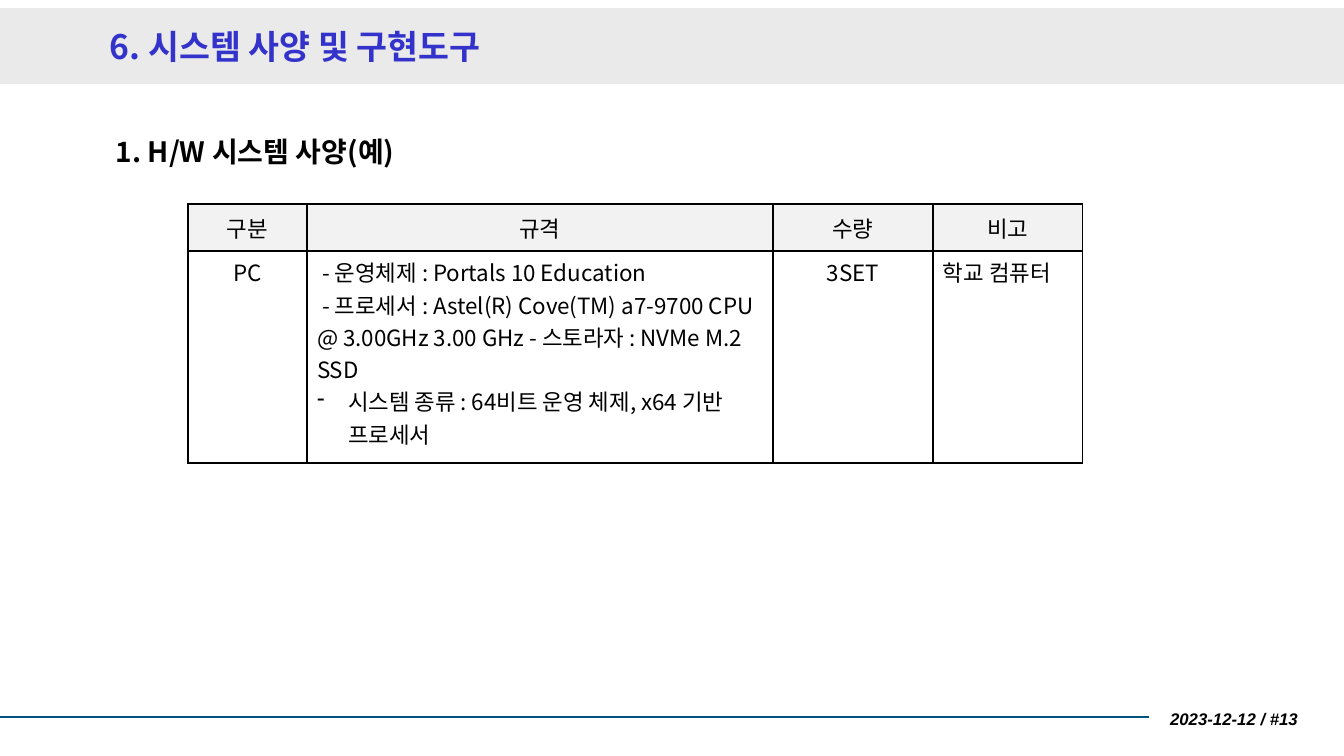
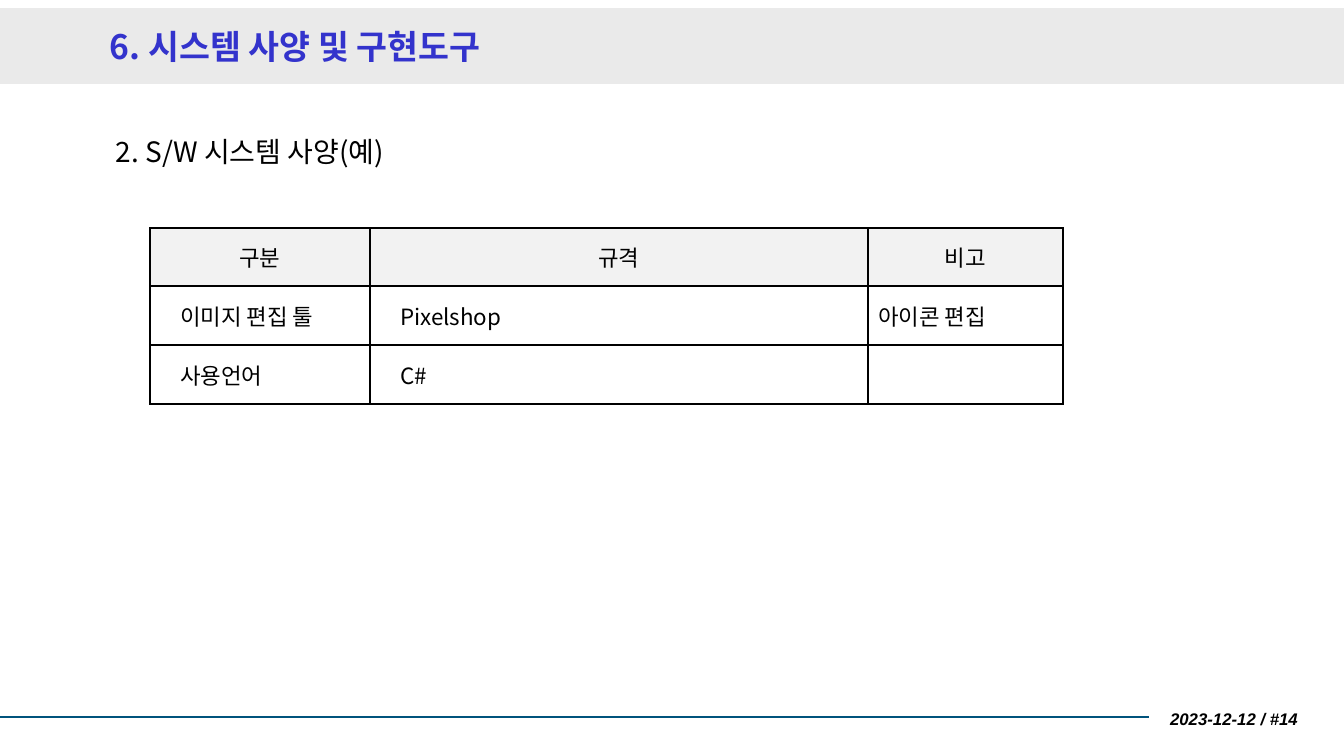
"""Build two slides of hardware and software specifications."""
from lxml.etree import SubElement
from pptx import Presentation
from pptx.dml.color import RGBColor
from pptx.enum.shapes import MSO_CONNECTOR, MSO_SHAPE
from pptx.enum.text import MSO_ANCHOR, PP_ALIGN
from pptx.oxml.ns import qn
from pptx.util import Pt

SCALE = 914400 / 100.8
SLIDE_SIZE = (1344, 756)
KOREAN = "Noto Sans CJK KR"
BLACK = "000000"
BAND, HEADER_FILL, RULE, TITLE_COLOR = "EAEAEA", "F2F2F2", "00537C", "3333CC"

TITLE = "6. 시스템 사양 및 구현도구"
DATE = "2023-12-12"
TITLE_FONT = {"name": KOREAN, "size": Pt(24), "bold": True}
FOOTER_FONT = {"name": "Arial", "size": Pt(12), "bold": True, "italic": True}
CELL_FONT = {"name": KOREAN, "size": Pt(16), "bold": False}

PLAIN = {}
CENTER = {"alignment": PP_ALIGN.CENTER}
DASH = {"indent": 5}
BULLET = {"margin": 31, "indent": -31, "bullet": "-"}
INSET = {"margin": 20}

SLIDES = [
    {
        "number": 13,
        "heading": "1. H/W 시스템 사양(예)",
        "bold": True,
        "corner": (188, 204),
        "columns": (119, 466, 160, 150),
        "rows": (47, 212),
        "anchor": MSO_ANCHOR.TOP,
        "header": ["구분", "규격", "수량", "비고"],
        "body": [[
            [("PC", CENTER)],
            [
                ("- 운영체제 : Portals 10 Education", DASH),
                ("- 프로세서 : Astel(R) Cove(TM) a7-9700 CPU @ 3.00GHz "
                 "3.00 GHz - 스토라자 : NVMe M.2 SSD", DASH),
                ("시스템 종류 : 64비트 운영 체제, x64 기반 프로세서", BULLET),
            ],
            [("3SET", CENTER)],
            [("학교 컴퓨터", PLAIN)],
        ]],
    },
    {
        "number": 14,
        "heading": "2. S/W 시스템 사양(예)",
        "bold": False,
        "corner": (150, 228),
        "columns": (220, 498, 195),
        "rows": (58, 59, 59),
        "anchor": MSO_ANCHOR.MIDDLE,
        "header": ["구분", "규격", "비고"],
        "body": [
            [[("이미지 편집 툴", INSET)], [("Pixelshop", INSET)], [("아이콘 편집", PLAIN)]],
            [[("사용언어", INSET)], [("C#", INSET)], []],
        ],
    },
]


def px(*lengths):
    """Turn pixel lengths into EMU."""
    return [round(length * SCALE) for length in lengths]


def rgb(value):
    """Turn a hex string into a colour."""
    return RGBColor.from_string(value)


def write(paragraph, text, font, color=BLACK, alignment=PP_ALIGN.LEFT, margin=0, indent=0, bullet=None):
    """Write one formatted run with its paragraph layout."""
    paragraph.alignment = alignment
    properties = paragraph._p.get_or_add_pPr()
    for name, length in {"marL": margin, "indent": indent}.items():
        properties.set(name, str(px(length)[0]))
    if bullet:
        SubElement(properties, qn("a:buChar"), char=bullet)
    run = paragraph.add_run()
    run.text = text
    for name, value in font.items():
        setattr(run.font, name, value)
    run.font.color.rgb = rgb(color)
    SubElement(run._r.get_or_add_rPr(), qn("a:ea"), typeface=font["name"])


def add_text(slide, box, text, font, anchor=MSO_ANCHOR.MIDDLE, **layout):
    """Add a one-line text box."""
    frame = slide.shapes.add_textbox(*px(*box)).text_frame
    frame.word_wrap = True
    frame.vertical_anchor = anchor
    write(frame.paragraphs[0], text, font, **layout)


def add_frame(slide, number):
    """Add the band, title, rule and footer shared by the slides."""
    band = slide.shapes.add_shape(MSO_SHAPE.RECTANGLE, *px(0, 8, SLIDE_SIZE[0], 76))
    band.shadow.inherit = False
    band.fill.solid()
    band.fill.fore_color.rgb = rgb(BAND)
    band.line.fill.background()
    add_text(slide, (1140, 698, 168, 42), f"{DATE} / #{number}", FOOTER_FONT, alignment=PP_ALIGN.RIGHT)
    rule = slide.shapes.add_connector(MSO_CONNECTOR.STRAIGHT, *px(0, 717, 1149, 717))
    rule.line.color.rgb = rgb(RULE)
    rule.line.width = Pt(1.5)
    SubElement(rule._element.spPr, qn("a:effectLst"))
    add_text(slide, (100, 17, 1200, 59), TITLE, TITLE_FONT, color=TITLE_COLOR)


def add_borders(cell):
    """Draw a thin black line on each side of a cell."""
    properties = cell._tc.get_or_add_tcPr()
    for side in ("a:lnL", "a:lnR", "a:lnT", "a:lnB"):
        line = SubElement(properties, qn(side), w=str(Pt(1)))
        SubElement(SubElement(line, qn("a:solidFill")), qn("a:srgbClr"), val=BLACK)


def fill_cell(cell, content, anchor, fill):
    """Give a cell its borders, fill and paragraphs."""
    add_borders(cell)
    cell.vertical_anchor = anchor
    if fill:
        cell.fill.solid()
        cell.fill.fore_color.rgb = rgb(fill)
    else:
        cell.fill.background()
    frame = cell.text_frame
    for index, (text, layout) in enumerate(content):
        paragraph = frame.add_paragraph() if index else frame.paragraphs[0]
        write(paragraph, text, CELL_FONT, **layout)


def add_specification(slide, content):
    """Add the specification table."""
    columns, rows = content["columns"], content["rows"]
    size = (sum(columns), sum(rows))
    table = slide.shapes.add_table(len(rows), len(columns), *px(*content["corner"], *size)).table
    table.first_row = table.horz_banding = False
    for column, width in zip(table.columns, px(*columns)):
        column.width = width
    for row, height in zip(table.rows, px(*rows)):
        row.height = height
    header = [[(label, CENTER)] for label in content["header"]]
    for row_index, row in enumerate([header, *content["body"]]):
        anchor = content["anchor"] if row_index else MSO_ANCHOR.MIDDLE
        fill = None if row_index else HEADER_FILL
        for column_index, cell_content in enumerate(row):
            fill_cell(table.cell(row_index, column_index), cell_content, anchor, fill)


def build():
    """Build and save the presentation."""
    presentation = Presentation()
    presentation.slide_width, presentation.slide_height = px(*SLIDE_SIZE)
    for content in SLIDES:
        slide = presentation.slides.add_slide(presentation.slide_layouts[6])
        add_frame(slide, content["number"])
        heading_font = {"name": KOREAN, "size": Pt(20), "bold": content["bold"]}
        add_text(slide, (100, 130, 993, 51), content["heading"], heading_font, MSO_ANCHOR.TOP, margin=6)
        add_specification(slide, content)
    presentation.save("out.pptx")


build()
